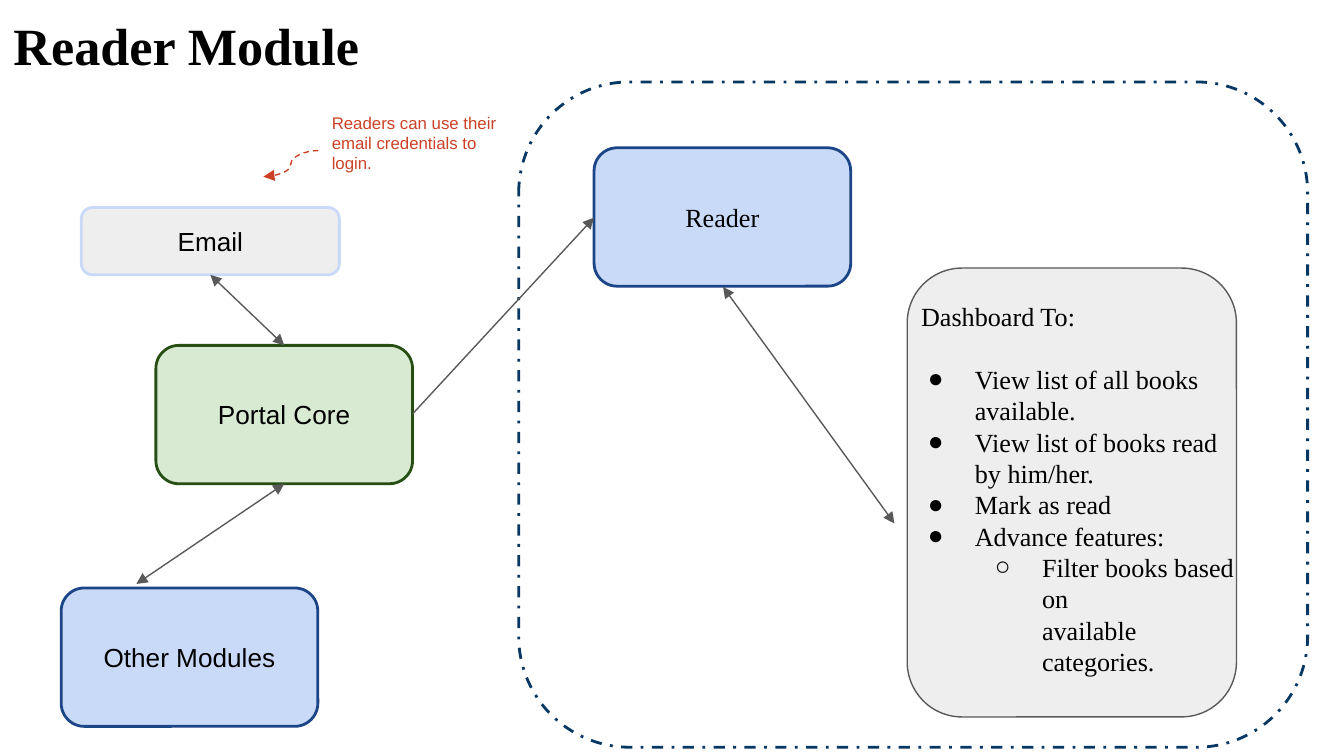
from pptx import Presentation
from pptx.dml.color import RGBColor
from pptx.enum.dml import MSO_LINE
from pptx.enum.shapes import MSO_CONNECTOR, MSO_SHAPE
from pptx.enum.text import MSO_ANCHOR, MSO_AUTO_SIZE, PP_ALIGN
from pptx.oxml.ns import qn
from pptx.util import Pt
from lxml.etree import SubElement

PX = 4572  # 200 px to the inch
SANS, SERIF = "Arial", "Times New Roman"
BLACK, GRAY, PALE = "000000", "595959", "EEEEEE"
BLUE, NAVY, RED = "C9DAF8", "1C4587", "CC4125"


def tint(code):
    return RGBColor.from_string(code)


class Deck:
    def __init__(self, width, height):
        self.file = Presentation()
        self.file.slide_width = width * PX
        self.file.slide_height = height * PX
        self.slide = self.file.slides.add_slide(self.file.slide_layouts[5])
        self.shapes = self.slide.shapes

    def frame(self, shape, anchor=MSO_ANCHOR.TOP):
        """Give a text frame wrapping, even insets and an anchor."""
        frame = shape.text_frame
        frame.word_wrap = True
        frame.auto_size = MSO_AUTO_SIZE.NONE
        frame.vertical_anchor = anchor
        frame.margin_left = frame.margin_right = 20 * PX
        frame.margin_top = frame.margin_bottom = 20 * PX
        return frame

    def run(self, para, text, size, font, color=BLACK, bold=False):
        run = para.add_run()
        run.text = text
        run.font.size = Pt(size)
        run.font.name = font
        run.font.bold = bold
        run.font.color.rgb = tint(color)

    def title(self, text, *box):
        shape = self.shapes.title
        shape.left, shape.top, shape.width, shape.height = (n * PX for n in box)
        para = self.frame(shape).paragraphs[0]
        para.alignment = PP_ALIGN.LEFT
        self.run(para, text, 28, SERIF, bold=True)

    def text(self, *box):
        return self.frame(self.shapes.add_textbox(*(n * PX for n in box)))

    def card(self, box, fill, edge, label="", font=SANS, width=1.5, dash=None):
        shape = self.shapes.add_shape(
            MSO_SHAPE.ROUNDED_RECTANGLE, *(n * PX for n in box))
        shape.shadow.inherit = False
        shape.fill.solid()
        shape.fill.fore_color.rgb = tint(fill)
        shape.line.color.rgb = tint(edge)
        shape.line.width = Pt(width)
        if dash:
            shape.line.dash_style = dash
        if label:
            para = self.frame(shape, MSO_ANCHOR.MIDDLE).paragraphs[0]
            para.alignment = PP_ALIGN.CENTER
            self.run(para, label, 14, font)

    def arrow(self, start, end, both=True, color=GRAY,
              kind=MSO_CONNECTOR.STRAIGHT, dash=None):
        link = self.shapes.add_connector(kind, *(n * PX for n in start + end))
        link.line.color.rgb = tint(color)
        link.line.width = Pt(0.75)
        if dash:
            link.line.dash_style = dash
        props = link._element.spPr
        for tip in ("a:headEnd", "a:tailEnd") if both else ("a:tailEnd",):
            SubElement(props.find(qn("a:ln")), qn(tip), type="triangle")
        SubElement(props, qn("a:effectLst"))

    def item(self, para, text, left, mark=None, level=0):
        """Add an indented line, with a hanging bullet if mark is given."""
        para.level = level
        props = para._p.get_or_add_pPr()
        props.set("marL", str(left * PX))
        props.set("indent", str(-70 * PX if mark else 0))
        if mark:
            color = SubElement(props, qn("a:buClr"))
            SubElement(color, qn("a:srgbClr"), val=BLACK)
            SubElement(props, qn("a:buFont"), typeface=SERIF)
            SubElement(props, qn("a:buChar"), char=mark)
        self.run(para, text, 14, SERIF)


def main():
    deck = Deck(2000, 1125)
    deck.title("Reader Module", 0, 0, 1864, 126)

    deck.card((121, 309, 384, 100), PALE, BLUE, "Email")
    deck.card((232, 514, 382, 206), "D9EAD3", "274E13", "Portal Core")
    deck.card((91, 875, 382, 206), BLUE, NAVY, "Other Modules")
    deck.arrow((313, 409), (423, 514))
    deck.arrow((423, 720), (203, 869))

    deck.card((772, 122, 1174, 990), "FFFFFF", "073763",
              dash=MSO_LINE.DASH_DOT)
    deck.card((884, 220, 382, 206), BLUE, NAVY, "Reader", SERIF)
    deck.card((1350, 399, 490, 668), PALE, GRAY, width=0.75)

    note = deck.text(474, 147, 316, 156)
    deck.run(note.paragraphs[0],
             "Readers can use their email credentials to login.", 9, SANS, RED)
    deck.arrow((474, 224), (392, 263), False, RED,
               MSO_CONNECTOR.CURVE, MSO_LINE.DASH)

    board = deck.text(1331, 427, 528, 704)
    deck.item(board.paragraphs[0], "Dashboard To:", 20)
    tasks = ("View list of all books available.",
             "View list of books read by him/her.",
             "Mark as read",
             "Advance features:")
    for i, task in enumerate(tasks):
        para = board.add_paragraph()
        deck.item(para, task, 100, "●")
        if i == 0:
            para.space_before = Pt(16.8)
    deck.item(board.add_paragraph(), "Filter books based on", 200, "○", 1)
    deck.item(board.add_paragraph(), "available categories.", 200)

    deck.arrow((614, 616), (884, 324), both=False)
    deck.arrow((1076, 427), (1331, 779))
    deck.file.save("out.pptx")


if __name__ == "__main__":
    main()
